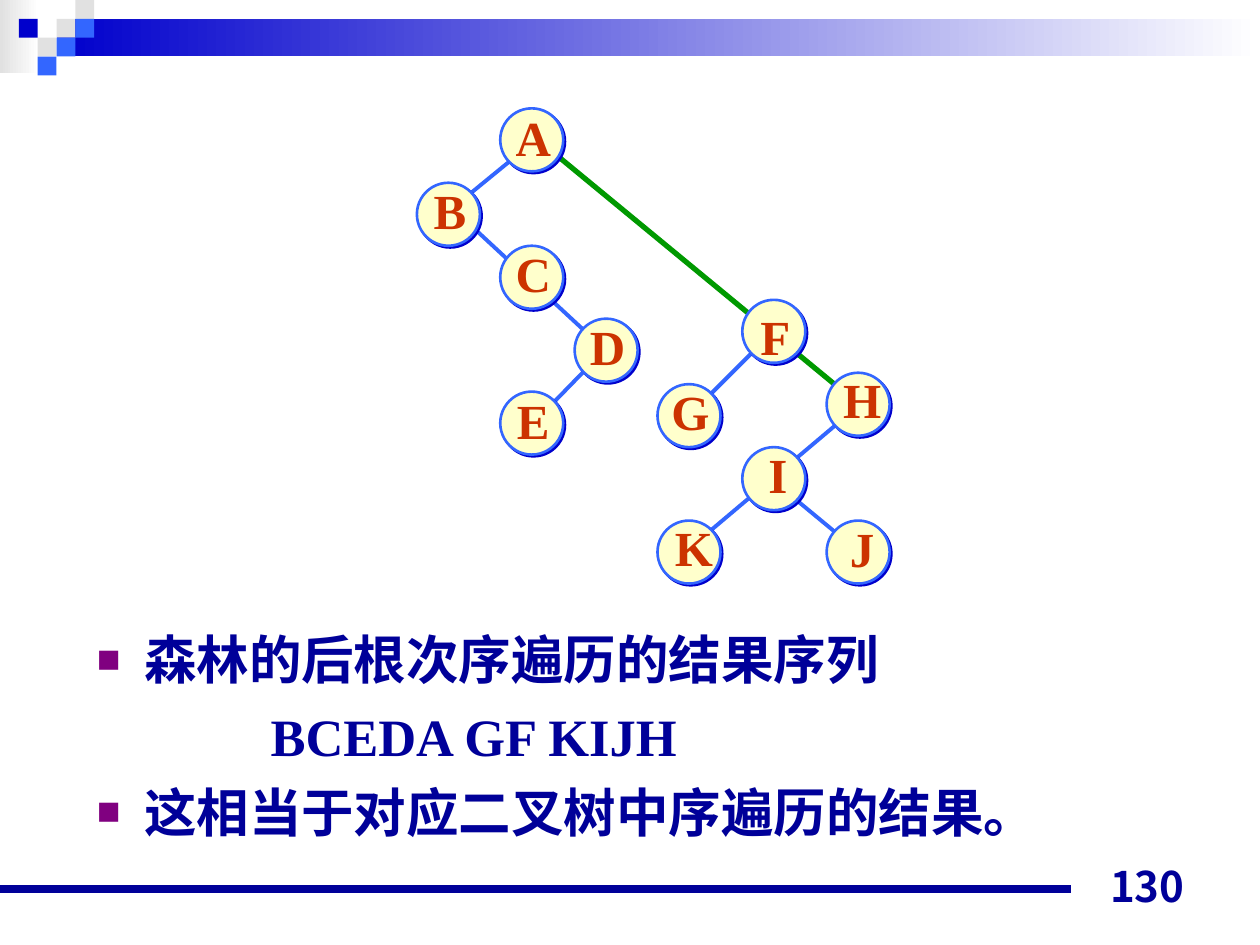
from lxml.etree import SubElement
from pptx import Presentation
from pptx.dml.color import RGBColor
from pptx.enum.shapes import MSO_CONNECTOR, MSO_SHAPE
from pptx.enum.text import MSO_ANCHOR, MSO_AUTO_SIZE, PP_ALIGN
from pptx.oxml.ns import qn
from pptx.util import Cm, Pt

WHITE = RGBColor(0xFF, 0xFF, 0xFF)
GRAY = RGBColor(0xE1, 0xE1, 0xE1)
BLUE = RGBColor(0x00, 0x00, 0xCC)
LIGHT_BLUE = RGBColor(0x33, 0x66, 0xFF)
NAVY = RGBColor(0x00, 0x00, 0x99)
GREEN = RGBColor(0x00, 0x99, 0x00)
CREAM = RGBColor(0xFF, 0xFF, 0xCC)
RED = RGBColor(0xCC, 0x33, 0x00)
PURPLE = RGBColor(0x80, 0x00, 0x80)
SERIF, SANS = "Times New Roman", "Noto Sans CJK JP"

# Lengths are in centimetres.
BANDS = [  # left, top, width, height, colour at the left, colour at the right
    (0, 0, 0.79, 1.47, GRAY, WHITE),
    (1.14, 0.38, 24.26, 0.76, BLUE, WHITE),
]
SQUARE = 0.38
SQUARES = [  # column, row, colour
    (3, 1, GRAY), (4, 0, GRAY), (4, 1, LIGHT_BLUE), (2, 2, GRAY),
    (1, 1, BLUE), (3, 2, LIGHT_BLUE), (2, 3, LIGHT_BLUE),
]
EDGES = [  # from, to, colour, width in points
    ((11.15, 3.07), (17.07, 7.95), GREEN, 3),
    ((11.99, 7.26), (10.95, 8.33), LIGHT_BLUE, 2.25),
    ((9.25, 4.32), (11.99, 6.86), LIGHT_BLUE, 2.25),
    ((10.52, 3.05), (9.25, 4.09), LIGHT_BLUE, 2.25),
    ((16.03, 10.06), (17.07, 10.92), LIGHT_BLUE, 2.25),
    ((17.07, 8.38), (14.33, 10.69), LIGHT_BLUE, 2.25),
    ((15.39, 6.88), (14.12, 8.15), LIGHT_BLUE, 2.25),
]
DIAMETER, LABEL_HEIGHT = 1.27, 1.45
NODES = [  # letter, centre of the circle, offset of the label, label width
    ("A", 10.72, 2.82, 0.03, -0.06, 1.22),
    ("B", 9.04, 4.32, 0.03, -0.09, 1.17),
    ("C", 10.72, 5.59, 0.03, -0.09, 1.22),
    ("D", 12.22, 7.06, 0.03, -0.09, 1.22),
    ("E", 10.72, 8.53, 0.03, -0.06, 1.17),
    ("F", 15.6, 6.68, 0.03, 0.09, 1.12),
    ("G", 13.89, 8.38, 0.03, -0.09, 1.27),
    ("H", 17.3, 8.15, 0.08, -0.11, 1.27),
    ("I", 15.6, 9.65, 0.08, -0.09, 0.89),
    ("J", 17.3, 11.13, 0.08, -0.09, 0.99),
    ("K", 13.89, 11.13, 0.1, -0.11, 1.27),
]
BULLET_INDENT, SEQUENCE_INDENT = 0.95, 3.5
BODY = [  # text, has a bullet
    ("森林的后根次序遍历的结果序列", True),
    ("BCEDA GF KIJH", False),
    ("这相当于对应二叉树中序遍历的结果。", True),
]


def add_filled_shape(slide, kind, left, top, width, height):
    shape = slide.shapes.add_shape(kind, Cm(left), Cm(top), Cm(width), Cm(height))
    shape.shadow.inherit = False
    shape.line.fill.background()
    return shape


def add_line(slide, start, end, color, width):
    line = slide.shapes.add_connector(
        MSO_CONNECTOR.STRAIGHT, *(Cm(value) for value in (*start, *end)))
    line.line.color.rgb = color
    line.line.width = Pt(width)
    SubElement(line._element.spPr, qn("a:effectLst"))


def add_hard_shadow(shape, color):
    """Add a sharp shadow of 1.4 points to the lower right."""
    effects = shape._element.spPr.find(qn("a:effectLst"))
    shadow = SubElement(effects, qn("a:outerShdw"), dist="17960", dir="2700000",
                        algn="ctr", rotWithShape="0")
    SubElement(shadow, qn("a:srgbClr"), val=str(color))


def write_text(paragraph, text, size, color, font=SERIF, align=PP_ALIGN.LEFT):
    paragraph.alignment = align
    run = paragraph.add_run()
    run.text = text
    run.font.name = font
    run.font.size = Pt(size)
    run.font.bold = True
    run.font.color.rgb = color


def add_text_box(slide, text, left, top, width, height, anchor, wrap, **text_format):
    box = slide.shapes.add_textbox(Cm(left), Cm(top), Cm(width), Cm(height))
    frame = box.text_frame
    frame.word_wrap = wrap
    frame.vertical_anchor = anchor
    write_text(frame.paragraphs[0], text, **text_format)


def set_bullet(paragraph, bulleted):
    properties = paragraph._p.get_or_add_pPr()
    margin = BULLET_INDENT if bulleted else SEQUENCE_INDENT
    properties.set("marL", str(Cm(margin)))
    properties.set("indent", str(-Cm(BULLET_INDENT) if bulleted else 0))
    if bulleted:
        SubElement(SubElement(properties, qn("a:buClr")), qn("a:srgbClr"), val=str(PURPLE))
        SubElement(properties, qn("a:buSzPct"), val="75000")
        SubElement(properties, qn("a:buChar"), char="■")
    else:
        SubElement(properties, qn("a:buNone"))


def add_decoration(slide):
    for left, top, width, height, left_color, right_color in BANDS:
        band = add_filled_shape(slide, MSO_SHAPE.RECTANGLE, left, top, width, height)
        band.fill.gradient()
        band.fill.gradient_angle = 0
        for stop, color in zip(band.fill.gradient_stops, (left_color, right_color)):
            stop.color.rgb = color
    for column, row, color in SQUARES:
        square = add_filled_shape(slide, MSO_SHAPE.RECTANGLE, column * SQUARE,
                                  row * SQUARE, SQUARE, SQUARE)
        square.fill.solid()
        square.fill.fore_color.rgb = color
    add_line(slide, (0, 17.93), (21.59, 17.93), NAVY, 4.5)


def add_tree(slide):
    for edge in EDGES:
        add_line(slide, *edge)
    for letter, x, y, shift_x, shift_y, width in NODES:
        circle = add_filled_shape(slide, MSO_SHAPE.OVAL, x - DIAMETER / 2,
                                  y - DIAMETER / 2, DIAMETER, DIAMETER)
        circle.fill.solid()
        circle.fill.fore_color.rgb = CREAM
        circle.line.color.rgb = LIGHT_BLUE
        circle.line.width = Pt(1.5)
        add_hard_shadow(circle, BLUE)
        add_text_box(slide, letter, x + shift_x - width / 2,
                     y + shift_y - LABEL_HEIGHT / 2, width, LABEL_HEIGHT,
                     MSO_ANCHOR.MIDDLE, False, size=28, color=RED,
                     align=PP_ALIGN.CENTER)


def fill_body(body):
    body.left, body.top, body.width, body.height = Cm(1.7), Cm(12.52), Cm(22.86), Cm(5.21)
    frame = body.text_frame
    frame.auto_size = MSO_AUTO_SIZE.NONE
    for index, (text, bulleted) in enumerate(BODY):
        paragraph = frame.add_paragraph() if index else frame.paragraphs[0]
        paragraph.space_before = Pt(7.5 if index else 0)
        set_bullet(paragraph, bulleted)
        write_text(paragraph, text, size=30, color=NAVY)


def main():
    presentation = Presentation()
    presentation.slide_width, presentation.slide_height = Cm(25.4), Cm(19.05)
    slide = presentation.slides.add_slide(presentation.slide_layouts[1])
    title = slide.shapes.title._element
    title.getparent().remove(title)
    add_decoration(slide)
    add_tree(slide)
    fill_body(slide.placeholders[1])
    add_text_box(slide, "130", 18.21, 17.22, 5.92, 1.27, MSO_ANCHOR.BOTTOM, True,
                 size=24, color=NAVY, font=SANS, align=PP_ALIGN.RIGHT)
    presentation.save("out.pptx")


if __name__ == "__main__":
    main()
